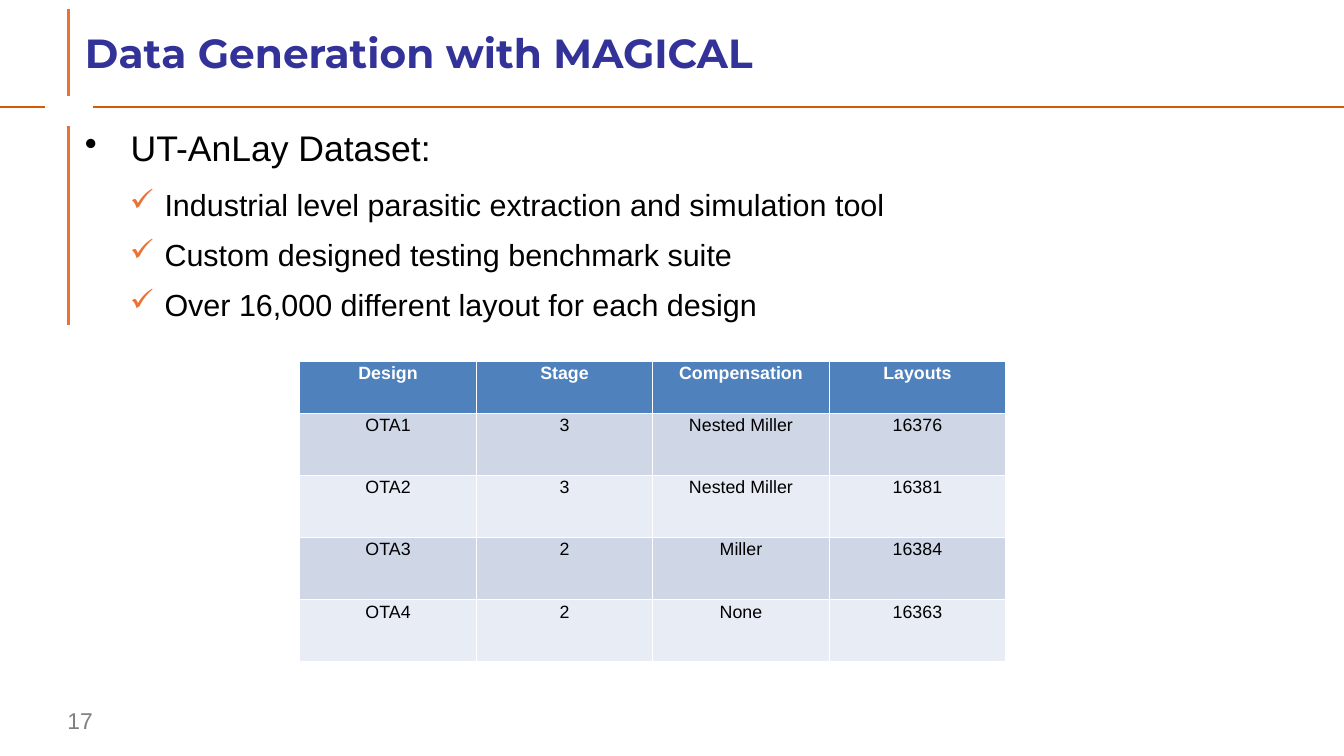
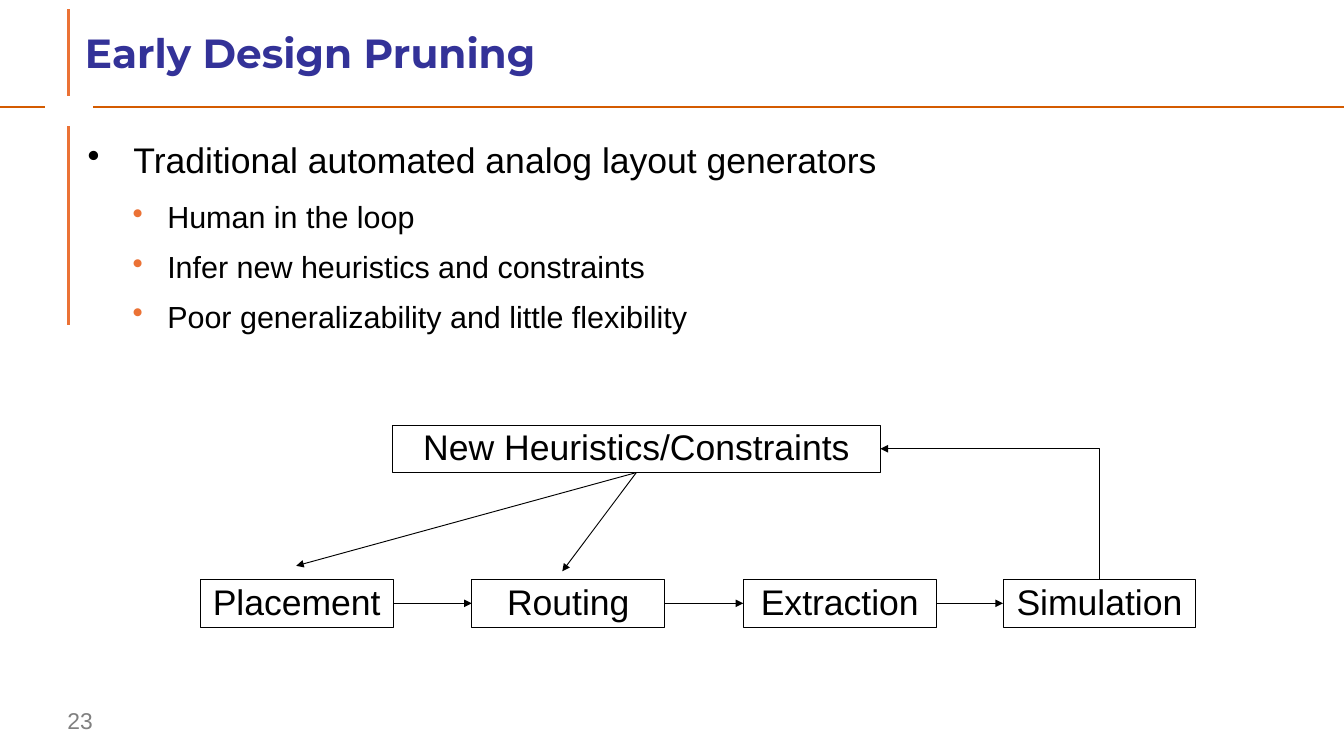
from lxml import etree
from pptx import Presentation
from pptx import util as u
from pptx.dml.color import RGBColor
from pptx.enum import shapes, text
from pptx.oxml import ns

Inches, Pt = u.Inches, u.Pt
BLACK, WHITE = RGBColor(0, 0, 0), RGBColor(255, 255, 255)
NAVY, GREY = RGBColor(0x33, 0x32, 0x98), RGBColor(0x80, 0x80, 0x80)
RUST, ORANGE = RGBColor(0xD4, 0x5B, 0x00), RGBColor(0xEB, 0x72, 0x35)
HEADER_BLUE = RGBColor(0x4F, 0x81, 0xBD)
BANDS = [RGBColor(0xE8, 0xEC, 0xF4), RGBColor(0xCF, 0xD7, 0xE7)]

TITLE = dict(name="Montserrat", size=Pt(32), bold=True, color=NAVY)
TOPIC = dict(name="Arial", size=Pt(28), color=BLACK)
DETAIL = dict(TOPIC, size=Pt(24))
NUMBER = dict(name="Arial", size=Pt(18), color=GREY)
CELL = dict(name="Arial", size=Pt(14), bold=False, color=BLACK)
HEADER = dict(CELL, bold=True, color=WHITE)
LINE_SPACING = 0.93
RULES = [
    (1.02, 1.17, 14.7, 1.17, RUST, 2.25),
    (-0.01, 1.17, 0.49, 1.17, RUST, 2.25),
    (0.75, 0.1, 0.75, 1.05, ORANGE, 2.5),
    (0.75, 1.38, 0.75, 3.55, ORANGE, 2.5),
]


def write(para, words, style, spacing=LINE_SPACING):
    para.line_spacing = spacing
    span = para.add_run()
    span.text = words
    for key, value in style.items():
        if key == "color":
            span.font.color.rgb = value
        else:
            setattr(span.font, key, value)


def add_line(page, ends, color=BLACK, width=0.75, arrow=False, kind=shapes.MSO_CONNECTOR.STRAIGHT):
    line = page.shapes.add_connector(kind, *[Inches(value) for value in ends])
    line.line.color.rgb = color
    line.line.width = Pt(width)
    if arrow:
        etree.SubElement(line.line._get_or_add_ln(), ns.qn("a:tailEnd"), type="triangle")
    etree.SubElement(line._element.spPr, ns.qn("a:effectLst"))
    return line


deck = Presentation()
deck.slide_width, deck.slide_height = Inches(14.7), Inches(8.27)

# Shared frame, title, bullets and page number
contents = [
    ("Data Generation with MAGICAL", "17", (0.85, 1.34), "✓", [
        "UT-AnLay Dataset:",
        "Industrial level parasitic extraction and simulation tool",
        "Custom designed testing benchmark suite",
        "Over 16,000 different layout for each design",
    ]),
    ("Early Design Pruning", "23", (0.88, 1.47), "•", [
        "Traditional automated analog layout generators",
        "Human in the loop",
        "Infer new heuristics and constraints",
        "Poor generalizability and little flexibility",
    ]),
]
pages = []
for title, number, (left, top), mark, points in contents:
    page = deck.slides.add_slide(deck.slide_layouts[6])
    pages.append(page)
    for *ends, color, width in RULES:
        add_line(page, ends, color, width)

    frames = []
    for area, inset in [((0.85, 0.17, 12.94, 0.86), (0.08, 0.04)),
                        ((left, top, 12.94, 6.22), (0.08, 0.08)),
                        ((0.64, 7.68, 1.54, 0.35), (0.1, 0.05))]:
        frame = page.shapes.add_textbox(*[Inches(value) for value in area]).text_frame
        frame.word_wrap = True
        frame.margin_left = frame.margin_right = Inches(inset[0])
        frame.margin_top = frame.margin_bottom = Inches(inset[1])
        frames.append(frame)
    heading, body, footer = frames
    heading.vertical_anchor = text.MSO_ANCHOR.MIDDLE
    write(heading.paragraphs[0], title, TITLE)
    write(footer.paragraphs[0], number, NUMBER, 1.0)

    for index, point in enumerate(points):
        para = body.add_paragraph() if index else body.paragraphs[0]
        if index:
            para.level = 1
            style, indent, hang, after, symbol, color = DETAIL, 0.87, 0.38, 12.5, mark, ORANGE
        else:
            style, indent, hang, after, symbol, color = TOPIC, 0.5, 0.5, 15.6, "•", BLACK
        props = para._p.get_or_add_pPr()
        props.set("marL", str(Inches(indent)))
        props.set("indent", str(-Inches(hang)))
        bullet_color = etree.SubElement(props, ns.qn("a:buClr"))
        etree.SubElement(bullet_color, ns.qn("a:srgbClr"), val=str(color))
        etree.SubElement(props, ns.qn("a:buChar"), char=symbol)
        para.space_after = Pt(after)
        write(para, point, style)

dataset_page, pruning_page = pages

# Dataset table
rows = [
    ("Design", "Stage", "Compensation", "Layouts"),
    ("OTA1", "3", "Nested Miller", "16376"),
    ("OTA2", "3", "Nested Miller", "16381"),
    ("OTA3", "2", "Miller", "16384"),
    ("OTA4", "2", "None", "16363"),
]
table = dataset_page.shapes.add_table(
    len(rows), len(rows[0]), Inches(3.28), Inches(3.95), Inches(7.73), Inches(3.27)).table
for column in table.columns:
    column.width = Inches(1.93)
for index, row in enumerate(rows):
    table.rows[index].height = Inches(0.68 if index else 0.57)
    for position, words in enumerate(row):
        cell = table.cell(index, position)
        cell.margin_left = cell.margin_right = Inches(0.08)
        cell.margin_top = cell.margin_bottom = Inches(0.04)
        props = cell._tc.get_or_add_tcPr()
        for side in ("lnL", "lnR", "lnT", "lnB"):
            border = etree.SubElement(props, ns.qn("a:" + side), w=str(Pt(0.77)))
            paint = etree.SubElement(border, ns.qn("a:solidFill"))
            etree.SubElement(paint, ns.qn("a:srgbClr"), val=str(WHITE))
        cell.fill.solid()
        cell.fill.fore_color.rgb = BANDS[index % 2] if index else HEADER_BLUE
        para = cell.text_frame.paragraphs[0]
        para.alignment = text.PP_ALIGN.CENTER
        write(para, words, CELL if index else HEADER)

# Layout flow with its feedback loop
boxes = {}
for words, left, top, width in [
    ("Placement", 2.19, 6.34, 2.11),
    ("Routing", 5.16, 6.34, 2.11),
    ("Extraction", 8.13, 6.34, 2.11),
    ("Simulation", 10.97, 6.34, 2.11),
    ("New Heuristics/Constraints", 4.29, 4.65, 5.34),
]:
    box = pruning_page.shapes.add_shape(
        shapes.MSO_SHAPE.RECTANGLE, Inches(left), Inches(top), Inches(width), Inches(0.52))
    box.shadow.inherit = False
    box.fill.background()
    box.line.color.rgb = BLACK
    box.line.width = Pt(0.75)
    frame = box.text_frame
    frame.margin_left = frame.margin_right = Inches(0.08)
    frame.margin_top = frame.margin_bottom = Inches(0.04)
    frame.vertical_anchor = text.MSO_ANCHOR.MIDDLE
    para = frame.paragraphs[0]
    para.alignment = text.PP_ALIGN.CENTER
    write(para, words, TOPIC)
    boxes[words] = box

*stages, heuristics = boxes.values()
TOP_SITE, LEFT_SITE, BOTTOM_SITE, RIGHT_SITE = range(4)
for source, target in zip(stages, stages[1:]):
    arrow = add_line(pruning_page, (0, 0, 1, 1), arrow=True)
    arrow.begin_connect(source, RIGHT_SITE)
    arrow.end_connect(target, LEFT_SITE)

for tip in [(3.24, 6.19), (6.15, 6.25)]:
    arrow = add_line(pruning_page, (6.96, 5.17, *tip), arrow=True)
    arrow.begin_connect(heuristics, BOTTOM_SITE)

# One-corner elbow: a quarter turn makes it leave upwards and arrive leftwards
feedback = add_line(pruning_page, (12.02, 6.34, 9.63, 4.91), arrow=True,
                    kind=shapes.MSO_CONNECTOR.ELBOW)
feedback.begin_connect(stages[-1], TOP_SITE)
feedback.end_connect(heuristics, RIGHT_SITE)
feedback.left, feedback.top = Inches(10.11), Inches(4.43)
feedback.width, feedback.height = Inches(1.43), Inches(2.39)
outline = feedback._element.spPr
outline.find(ns.qn("a:prstGeom")).set("prst", "bentConnector2")
for key, value in {"rot": "16200000", "flipH": "0", "flipV": "1"}.items():
    outline.find(ns.qn("a:xfrm")).set(key, value)

deck.save("out.pptx")
